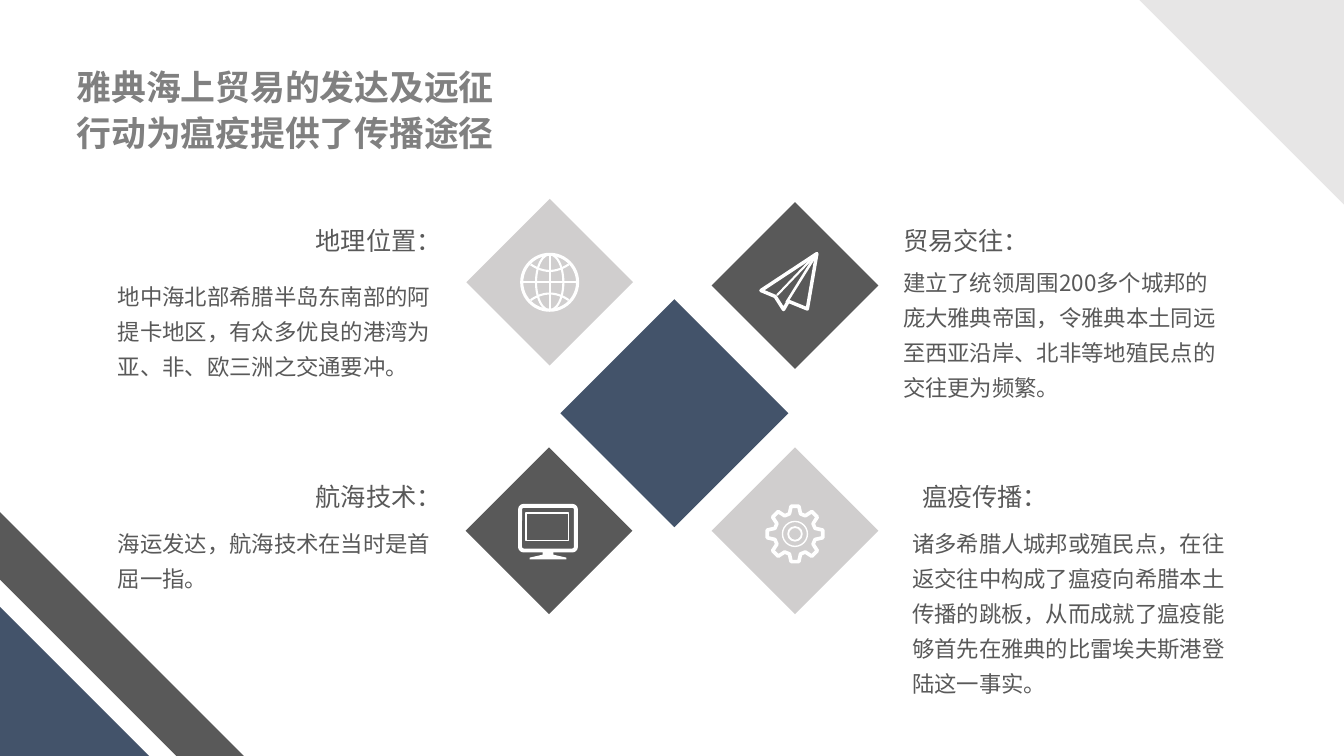
from dataclasses import dataclass
from math import cos, pi, sin

from lxml.etree import SubElement
from pptx import Presentation
from pptx.dml.color import RGBColor as Rgb
from pptx.enum.shapes import MSO_CONNECTOR as Connector
from pptx.enum.shapes import MSO_SHAPE as Preset
from pptx.enum.text import MSO_ANCHOR as Anchor
from pptx.enum.text import MSO_AUTO_SIZE as AutoSize
from pptx.enum.text import PP_ALIGN as Align
from pptx.oxml.ns import qn
from pptx.util import Inches, Pt

WIDTH, HEIGHT = 13.33, 7.5
COLUMNS, ROWS = 40, 22.5


@dataclass(frozen=True)
class Theme:
    font: str = "Noto Sans CJK SC"
    navy: str = "43536A"
    dark: str = "595959"
    light: str = "D0CECE"
    corner: str = "E7E6E6"
    heading: str = "808080"
    white: str = "FFFFFF"
    title_size: float = 24.9
    label_size: float = 18
    body_size: float = 16


THEME = Theme()


def col(count):
    return Inches(count * WIDTH / COLUMNS)


def row(count):
    return Inches(count * HEIGHT / ROWS)


def grid(left, top, width, height):
    return col(left), row(top), col(width), row(height)


def paint(part, fill=None, line=None, weight=1.0):
    part.shadow.inherit = False
    if fill:
        part.fill.solid()
        part.fill.fore_color.rgb = Rgb.from_string(fill)
    else:
        part.fill.background()
    if line:
        part.line.color.rgb = Rgb.from_string(line)
        part.line.width = Pt(weight)
    else:
        part.line.fill.background()


def preset(slide, kind, box, rotation=0, **style):
    part = slide.shapes.add_shape(kind, *grid(*box))
    part.rotation = rotation
    paint(part, **style)
    return part


def outline(slide, points, closed=True, **style):
    corners = [(col(x), row(y)) for x, y in points]
    builder = slide.shapes.build_freeform(*corners[0])
    builder.add_line_segments(corners[1:], close=closed)
    paint(builder.convert_to_shape(), **style)


def straight(slide, start, end, weight):
    stroke = slide.shapes.add_connector(
        Connector.STRAIGHT, col(start[0]), row(start[1]), col(end[0]), row(end[1]))
    stroke.line.color.rgb = Rgb.from_string(THEME.white)
    stroke.line.width = Pt(weight)
    SubElement(stroke.element.spPr, qn("a:effectLst"))


def write(frame, text, size, color=THEME.dark, bold=False, align=Align.LEFT,
          spacing=1.0, anchor=Anchor.TOP):
    frame.word_wrap = True
    frame.auto_size = AutoSize.NONE
    frame.vertical_anchor = anchor
    paragraph = frame.paragraphs[0]
    paragraph.alignment = align
    paragraph.line_spacing = spacing
    paragraph.space_before = Pt(0)
    run = paragraph.add_run()
    run.text = text
    run.font.size = Pt(size)
    run.font.bold = bold
    run.font.color.rgb = Rgb.from_string(color)
    run.font.name = THEME.font
    SubElement(run.font._element, qn("a:ea"), typeface=THEME.font)


def place_in(box):
    left, top, side = box
    return lambda x, y: (left + x * side, top + y * side)


def inner_box(box, x, y, width, height):
    return *place_in(box)(x, y), width * box[2], height * box[2]


def globe(slide, box):
    at = place_in(box)
    for width, weight in ((0.94, 2.2), (0.46, 1.5)):
        preset(slide, Preset.OVAL, inner_box(box, 0.5 - width / 2, 0.03, width, 0.94),
               line=THEME.white, weight=weight)
    straight(slide, at(0.5, 0.03), at(0.5, 0.97), 1.5)
    straight(slide, at(0.03, 0.5), at(0.97, 0.5), 1.5)
    for edge, bulge in ((0.2, 0.11), (0.8, -0.11)):
        latitude = [at(0.5 + 0.32 * step / 6, edge + bulge * (1 - (step / 6) ** 2))
                    for step in range(-6, 7)]
        outline(slide, latitude, closed=False, line=THEME.white, weight=1.5)


def paper_plane(slide, box):
    at = place_in(box)
    edge = ((0.97, 0.03), (0.03, 0.65), (0.27, 0.75),
            (0.41, 0.97), (0.49, 0.83), (0.81, 0.96))
    outline(slide, [at(x, y) for x, y in edge], line=THEME.white, weight=2.5)
    straight(slide, at(0.97, 0.03), at(0.3, 0.73), 1.5)
    straight(slide, at(0.97, 0.03), at(0.46, 0.85), 1.8)


def monitor(slide, box):
    at = place_in(box)
    frame = preset(slide, Preset.ROUNDED_RECTANGLE, inner_box(box, 0.03, 0.08, 0.94, 0.75),
                   line=THEME.white, weight=2.8)
    frame.adjustments[0] = 0.08
    preset(slide, Preset.RECTANGLE, inner_box(box, 0.13, 0.2, 0.72, 0.46),
           line=THEME.white, weight=1)
    stand = ((0.41, 0.85), (0.59, 0.85), (0.59, 0.9), (0.81, 0.95),
             (0.81, 0.98), (0.19, 0.98), (0.19, 0.95), (0.41, 0.9))
    outline(slide, [at(x, y) for x, y in stand], fill=THEME.white)


def gear(slide, box):
    at = place_in(box)
    tooth = ((-0.27, 0.35), (-0.14, 0.47), (0.14, 0.47), (0.27, 0.35))
    rim = [at(0.5 + radius * cos(index * pi / 4 + turn),
              0.5 + radius * sin(index * pi / 4 + turn))
           for index in range(8) for turn, radius in tooth]
    outline(slide, rim, line=THEME.white, weight=2.6)
    for width, weight in ((0.42, 1), (0.23, 1.3)):
        preset(slide, Preset.OVAL,
               inner_box(box, 0.5 - width / 2, 0.5 - width / 2, width, width),
               line=THEME.white, weight=weight)


def diamond(slide, center, side, color, icon=None, shift=(0, 0), icon_side=1.77):
    x, y = center
    preset(slide, Preset.RECTANGLE, (x - side / 2, y - side / 2, side, side),
           rotation=45, fill=color)
    if icon:
        icon(slide, (x + shift[0] - icon_side / 2, y + shift[1] - icon_side / 2, icon_side))


def topic(slide, corner, label, body, lines, gap=1.2, indent=0.0, align=Align.LEFT):
    left, top = corner
    width = 10.23
    label_box = slide.shapes.add_textbox(*grid(left + indent, top, width - indent, 1.2))
    write(label_box.text_frame, label, THEME.label_size, align=align)
    body_box = slide.shapes.add_textbox(*grid(left, top + gap, width, lines * 1.05 + 0.3))
    write(body_box.text_frame, body, THEME.body_size, spacing=1.3)


def corners(slide):
    top_side, bottom_side, band_outer, band_inner = 6.09, 4.44, 7.26, 5.25
    outline(slide, ((0, ROWS - band_outer), (0, ROWS - band_inner),
                    (band_inner, ROWS), (band_outer, ROWS)), fill=THEME.dark)
    preset(slide, Preset.RIGHT_TRIANGLE, (COLUMNS - top_side, 0, top_side, top_side),
           rotation=180, fill=THEME.corner)
    preset(slide, Preset.RIGHT_TRIANGLE, (0, ROWS - bottom_side, bottom_side, bottom_side),
           fill=THEME.navy)


def heading(slide, box, text):
    title = slide.shapes.title
    title.left, title.top, title.width, title.height = grid(*box)
    write(title.text_frame, text, THEME.title_size, color=THEME.heading, bold=True,
          spacing=1.1, anchor=Anchor.MIDDLE)


def main():
    deck = Presentation()
    deck.slide_width, deck.slide_height = Inches(WIDTH), Inches(HEIGHT)
    slide = deck.slides.add_slide(deck.slide_layouts[5])
    heading(slide, (1.98, 1.71, 13.23, 2.97), "雅典海上贸易的发达及远征行动为瘟疫提供了传播途径")
    corners(slide)

    diamond(slide, (16.36, 8.4), 3.51, THEME.light, globe)
    diamond(slide, (23.66, 8.5), 3.51, THEME.dark, paper_plane, shift=(-0.18, -0.12))
    diamond(slide, (16.34, 15.8), 3.51, THEME.dark, monitor, shift=(-0.03, 0))
    diamond(slide, (23.66, 15.8), 3.51, THEME.light, gear, shift=(0, 0.09))
    diamond(slide, (20.07, 12.3), 4.8, THEME.navy)

    topic(slide, (3.21, 6.57), "地理位置：",
          "地中海北部希腊半岛东南部的阿提卡地区，有众多优良的港湾为亚、非、欧三洲之交通要冲。",
          lines=3, gap=1.47, align=Align.RIGHT)
    topic(slide, (26.58, 6.57), "贸易交往：",
          "建立了统领周围200多个城邦的庞大雅典帝国，令雅典本土同远至西亚沿岸、北非等地殖民点的交往更为频繁。",
          lines=4, gap=1.05)
    topic(slide, (3.21, 14.19), "航海技术：", "海运发达，航海技术在当时是首屈一指。",
          lines=2, align=Align.RIGHT)
    topic(slide, (26.85, 14.19), "瘟疫传播：",
          "诸多希腊人城邦或殖民点，在往返交往中构成了瘟疫向希腊本土传播的跳板，从而成就了瘟疫能够首先在雅典的比雷埃夫斯港登陆这一事实。",
          lines=5, indent=0.3)
    deck.save("out.pptx")


if __name__ == "__main__":
    main()
